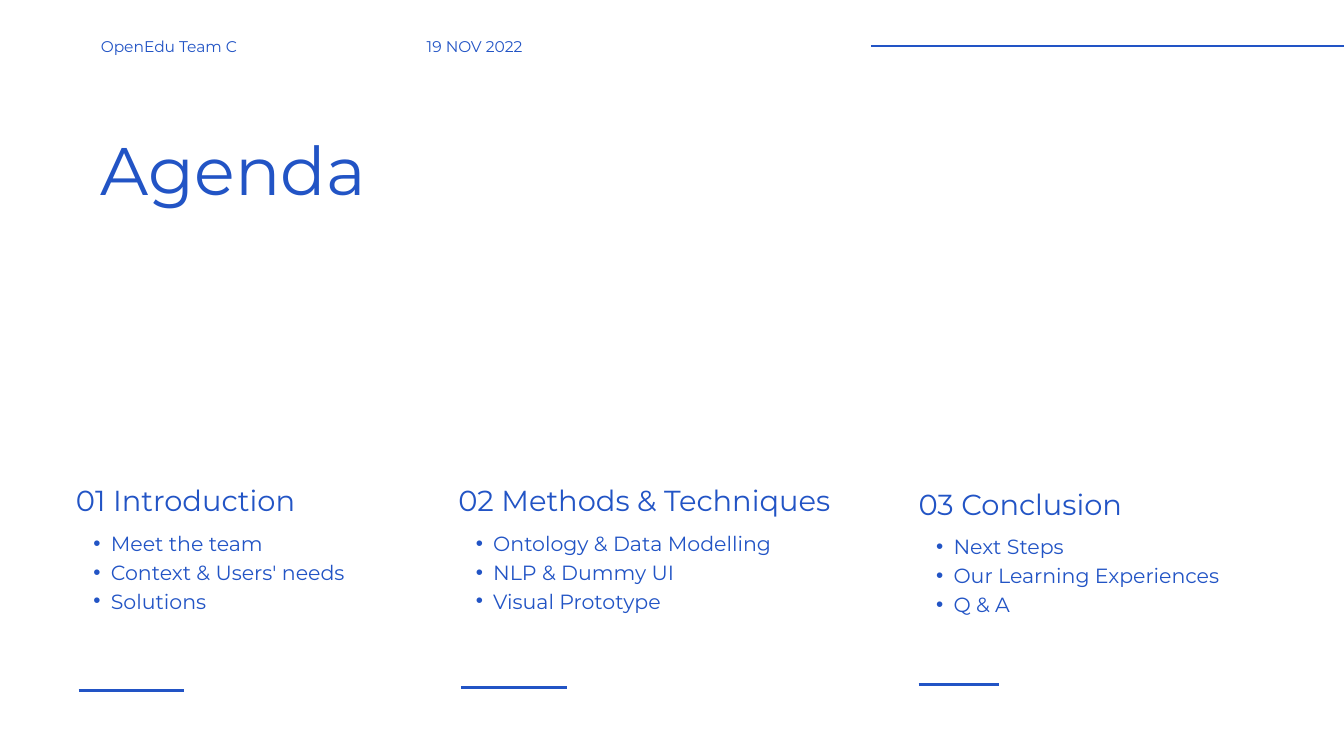
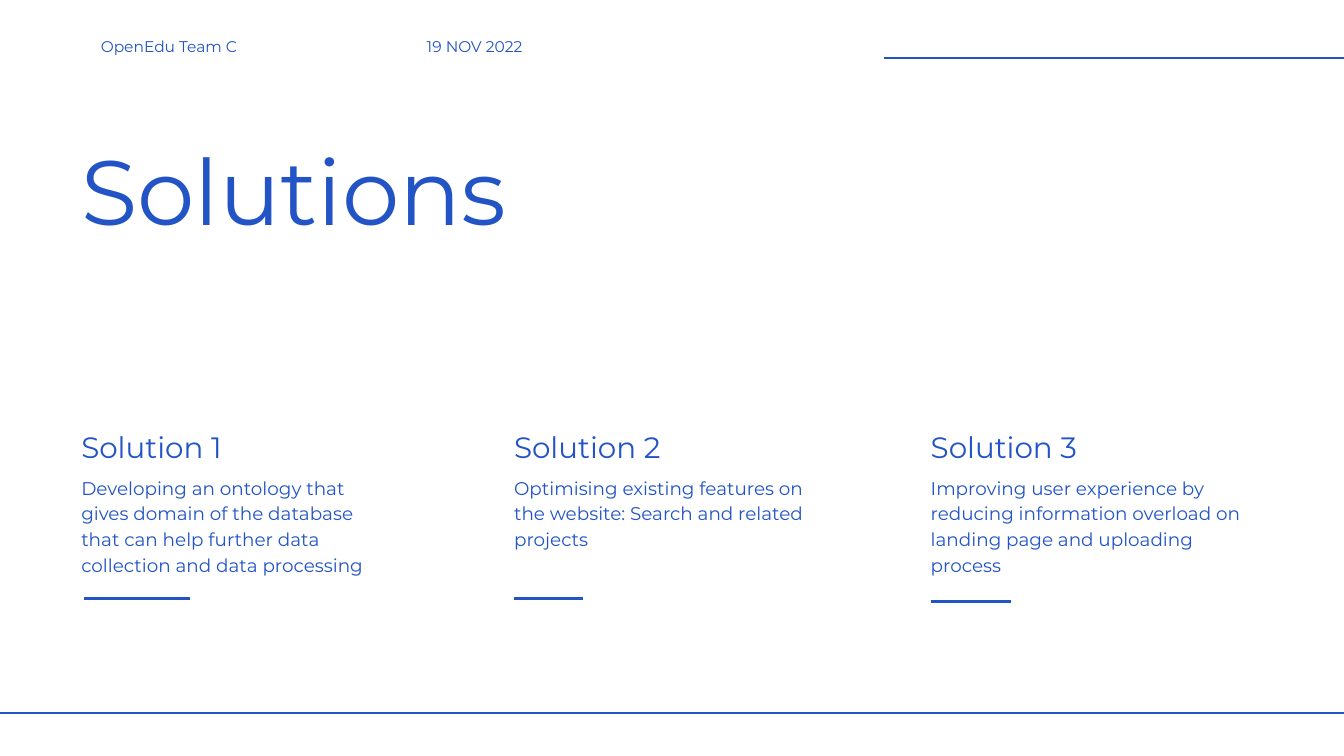
from lxml.etree import SubElement
from pptx import Presentation
from pptx.dml.color import RGBColor
from pptx.enum.shapes import MSO_CONNECTOR
from pptx.enum.text import MSO_ANCHOR, MSO_AUTO_SIZE, PP_ALIGN
from pptx.oxml.ns import qn
from pptx.util import Inches, Pt

COLORS = {"paper": "FFFFFF", "ink": "2254C5"}
FONT = "Montserrat"
WIDE, HIGH = 20, 11.25
LEAD = 1.4  # line pitch as a multiple of the text size
DROP = 0.74  # from the top of a heading to the text below it

# Heading, left, top, text width, lines of text, rule (left offset, top, length)
AGENDA = [
    ("01 Introduction", 1.13, 7.1, 4.59,
     ["Meet the team", "Context & Users' needs", "Solutions"],
     (0.04, 10.28, 1.57)),
    ("02 Methods & Techniques", 6.82, 7.1, 5.74,
     ["Ontology & Data Modelling", "NLP & Dummy UI", "Visual Prototype"],
     (0.04, 10.23, 1.58)),
    ("03 Conclusion", 13.67, 7.15, 4.88,
     ["Next Steps", "Our Learning Experiences", "Q & A"],
     (0, 10.19, 1.19)),
]
SOLUTIONS = [
    ("Solution 1", 1.21, 6.3, 4.59,
     ["Developing an ontology that gives domain of the database "
      "that can help further data collection and data processing"],
     (0.04, 8.91, 1.58)),
    ("Solution 2", 7.65, 6.3, 4.35,
     ["Optimising existing features on the website: "
      "Search and related projects"],
     (0, 8.91, 1.02)),
    ("Solution 3", 13.85, 6.3, 4.88,
     ["Improving user experience by reducing information overload "
      "on landing page and uploading process"],
     (0, 8.95, 1.2)),
]


def color(name):
    return RGBColor.from_string(COLORS[name])


def add_bullet(para):
    para.level = 1
    props = para._p.get_or_add_pPr()
    props.set("marL", str(Inches(0.52)))
    props.set("indent", str(Inches(-0.26)))
    SubElement(props, qn("a:buFont")).set("typeface", "Arial")
    SubElement(props, qn("a:buChar")).set("char", "•")


def write(shape, lines, size, bullets=False):
    """Fill a text shape with one paragraph per line, in the deck's style."""
    frame = shape.text_frame
    frame.word_wrap = True
    frame.auto_size = MSO_AUTO_SIZE.SHAPE_TO_FIT_TEXT
    frame.vertical_anchor = MSO_ANCHOR.TOP
    frame.margin_left = frame.margin_right = 0
    frame.margin_top = frame.margin_bottom = 0
    for index, line in enumerate(lines):
        para = frame.add_paragraph() if index else frame.paragraphs[0]
        if bullets:
            add_bullet(para)
        para.alignment = PP_ALIGN.LEFT
        para.line_spacing = Pt(round(size * LEAD, 1))
        para.space_before = Pt(0)
        run = para.add_run()
        run.text = line
        run.font.name = FONT
        run.font.size = Pt(size)
        run.font.color.rgb = color("ink")


def add_text(shapes, box, lines, size, bullets=False):
    write(shapes.add_textbox(*map(Inches, box)), lines, size, bullets)


def add_rule(shapes, left, top, length, weight=3):
    rule = shapes.add_connector(
        MSO_CONNECTOR.STRAIGHT, Inches(left), Inches(top),
        Inches(left + length), Inches(top))
    rule.line.color.rgb = color("ink")
    rule.line.width = Pt(weight)
    SubElement(rule._element.spPr, qn("a:effectLst"))


def add_header(slide, left, top):
    """Team, date and a rule that runs from left to the slide's edge."""
    add_text(slide.shapes, (1.5, 0.5, 3.04, 0.31), ["OpenEdu Team C"], 16.6)
    add_text(slide.shapes, (6.35, 0.5, 3.62, 0.31), ["19 NOV 2022"], 16.6)
    add_rule(slide.shapes, left, top, WIDE - left, 2.25)


def add_title(slide, box, text, size):
    title = slide.shapes.title
    title.left, title.top, title.width, title.height = map(Inches, box)
    write(title, [text], size)


def add_column(slide, column, sizes, bullets=False):
    """Group a heading, its text and the short rule that closes them."""
    heading, left, top, width, lines, (shift, foot, length) = column
    large, small = sizes
    shapes = slide.shapes.add_group_shape().shapes
    add_text(shapes, (left, top, width, 0.56), [heading], large)
    add_text(shapes, (left, top + DROP, width, 1.25), lines, small, bullets)
    add_rule(shapes, left + shift, foot, length)


def add_slide(deck):
    slide = deck.slides.add_slide(deck.slide_layouts.get_by_name("Title Only"))
    fill = slide.background.fill
    fill.solid()
    fill.fore_color.rgb = color("paper")
    return slide


def add_agenda(deck):
    slide = add_slide(deck)
    add_header(slide, 12.96, 0.69)
    add_title(slide, (1.5, 1.71, 10.76, 1.34), "Agenda", 72)
    for column in AGENDA:
        add_column(slide, column, (31, 22), bullets=True)


def add_solutions(deck):
    slide = add_slide(deck)
    add_rule(slide.shapes, 0, 10.61, WIDE)
    add_title(slide, (1.21, 1.72, 8.3, 1.82), "Solutions", 97.9)
    for column in SOLUTIONS:
        add_column(slide, column, (31.5, 19.7))
    add_header(slide, 13.15, 0.86)


def main():
    deck = Presentation()
    deck.slide_width, deck.slide_height = Inches(WIDE), Inches(HIGH)
    add_agenda(deck)
    add_solutions(deck)
    deck.save("out.pptx")


if __name__ == "__main__":
    main()
